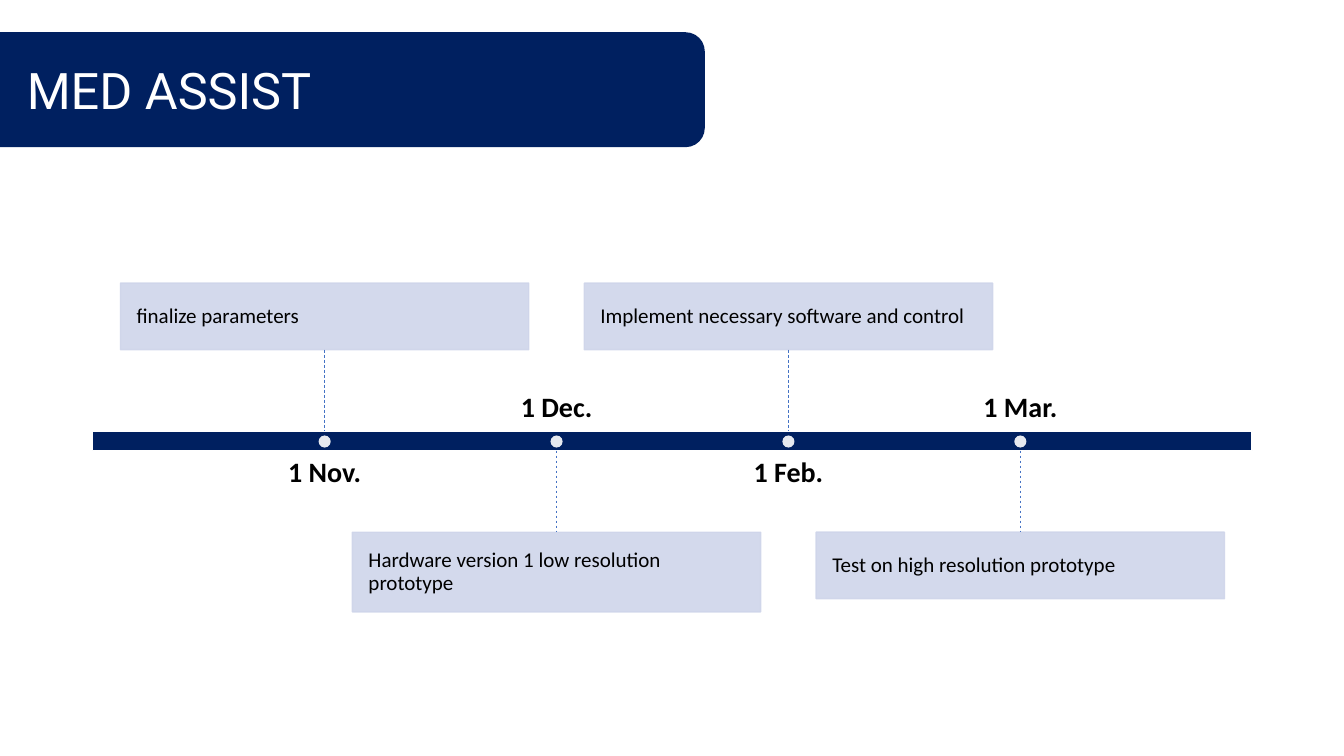
from lxml import etree
from pptx import Presentation
from pptx.dml.color import RGBColor
from pptx.enum.dml import MSO_LINE
from pptx.enum.shapes import MSO_CONNECTOR, MSO_SHAPE
from pptx.enum.text import MSO_ANCHOR, PP_ALIGN
from pptx.oxml.ns import qn
from pptx.util import Inches, Pt

RECT, OVAL, ROUND = MSO_SHAPE.RECTANGLE, MSO_SHAPE.OVAL, MSO_SHAPE.ROUNDED_RECTANGLE
LINE, DASH = MSO_CONNECTOR.STRAIGHT, MSO_LINE.DASH
TOP, MIDDLE, BOTTOM = MSO_ANCHOR.TOP, MSO_ANCHOR.MIDDLE, MSO_ANCHOR.BOTTOM
LEFT, CENTER = PP_ALIGN.LEFT, PP_ALIGN.CENTER
NAVY, PALE, BLUE, WHITE, BLACK = "002060", "CFD5EA", "4472C4", "FFFFFF", "000000"


def paint(fmt, color, alpha=100):
    """Give a fill or line format a solid colour, with alpha in percent."""
    fill = getattr(fmt, "fill", fmt)
    fill.solid()
    fill.fore_color.rgb = RGBColor.from_string(color)
    if alpha < 100:
        tint = fill._xPr.find(qn("a:solidFill"))[0]
        etree.SubElement(tint, qn("a:alpha"), val=str(alpha * 1000))


def write(shape, text, size, anchor, align=LEFT, inset=0, bold=False,
          face="Calibri", color=BLACK, space=0.9):
    frame = shape.text_frame
    frame.word_wrap = True
    frame.vertical_anchor = anchor
    frame.margin_left = frame.margin_right = Inches(inset)
    frame.margin_top = frame.margin_bottom = Inches(min(inset, 0.16))
    frame.text = text
    para = frame.paragraphs[0]
    para.alignment = align
    para.line_spacing = space
    font = para.runs[0].font
    font.name, font.size, font.bold = face, Pt(size), bold
    font.color.rgb = RGBColor.from_string(color)


deck = Presentation()
deck.slide_width, deck.slide_height = Inches(13.33), Inches(7.5)
shapes = deck.slides.add_slide(deck.slide_layouts[6]).shapes

# Title banner
banner = shapes.add_shape(ROUND, Inches(-0.4), Inches(0.32), Inches(7.39), Inches(1.14))
banner.shadow.inherit = False
paint(banner.fill, NAVY)
banner.line.fill.background()
write(banner, "MED ASSIST", 36, MIDDLE, inset=0.61, face="Roboto", color=WHITE, space=1)

# Time axis
axis_top, axis_end = 4.28, 4.47
axis = shapes.add_shape(RECT, Inches(0.92), Inches(axis_top), Inches(11.5),
                        Inches(axis_end - axis_top))
axis.shadow.inherit = False
paint(axis.fill, NAVY)
paint(axis.line, WHITE)
axis.line.width = Pt(1)

# Milestones: date, task, card height; cards alternate above and below the axis
steps = [
    ("1 Nov.", "finalize parameters", 0.66),
    ("1 Dec.", "Hardware version 1 low resolution prototype", 0.79),
    ("1 Feb.", "Implement necessary software and control", 0.66),
    ("1 Mar.", "Test on high resolution prototype", 0.66),
]
first, pitch, stem = 3.22, 2.3, 0.81
card_w, date_w, date_h, dot_w = 4.05, 3.68, 0.54, 0.12

for i, (date, task, high) in enumerate(steps):
    mid = first + i * pitch
    if i % 2 == 0:
        start, end = axis_top - stem, axis_top
        card_y, date_y, anchor = start - high, 4.55, TOP
    else:
        start, end = axis_end, axis_end + stem
        card_y, date_y, anchor = end, 3.66, BOTTOM

    card = shapes.add_shape(RECT, Inches(mid - card_w / 2), Inches(card_y),
                            Inches(card_w), Inches(high))
    card.shadow.inherit = False
    paint(card.fill, PALE, 90)
    paint(card.line, PALE, 90)
    card.line.width = Pt(1)
    write(card, task, 15, MIDDLE, inset=0.16)

    link = shapes.add_connector(LINE, Inches(mid), Inches(start), Inches(mid), Inches(end))
    etree.SubElement(link._element.spPr, qn("a:effectLst"))
    paint(link.line, BLUE)
    link.line.width = Pt(0.5)
    link.line.dash_style = DASH

    label = shapes.add_textbox(Inches(mid - date_w / 2), Inches(date_y),
                               Inches(date_w), Inches(date_h))
    write(label, date, 20, anchor, CENTER, bold=True)

    dot = shapes.add_shape(OVAL, Inches(mid - dot_w / 2), Inches(4.32),
                           Inches(dot_w), Inches(dot_w))
    dot.shadow.inherit = False
    paint(dot.fill, WHITE, 90)
    dot.line.fill.background()

deck.save("out.pptx")
